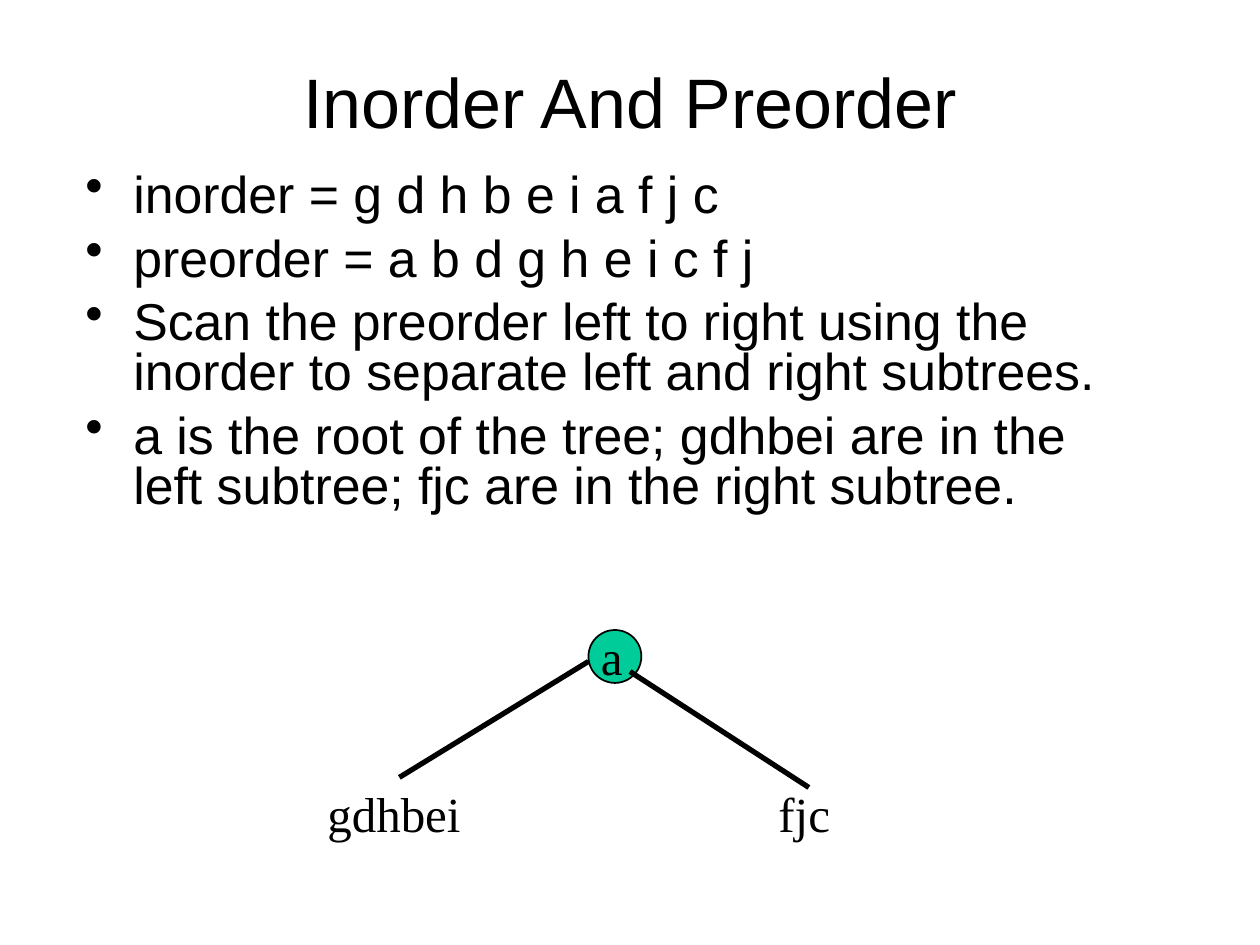
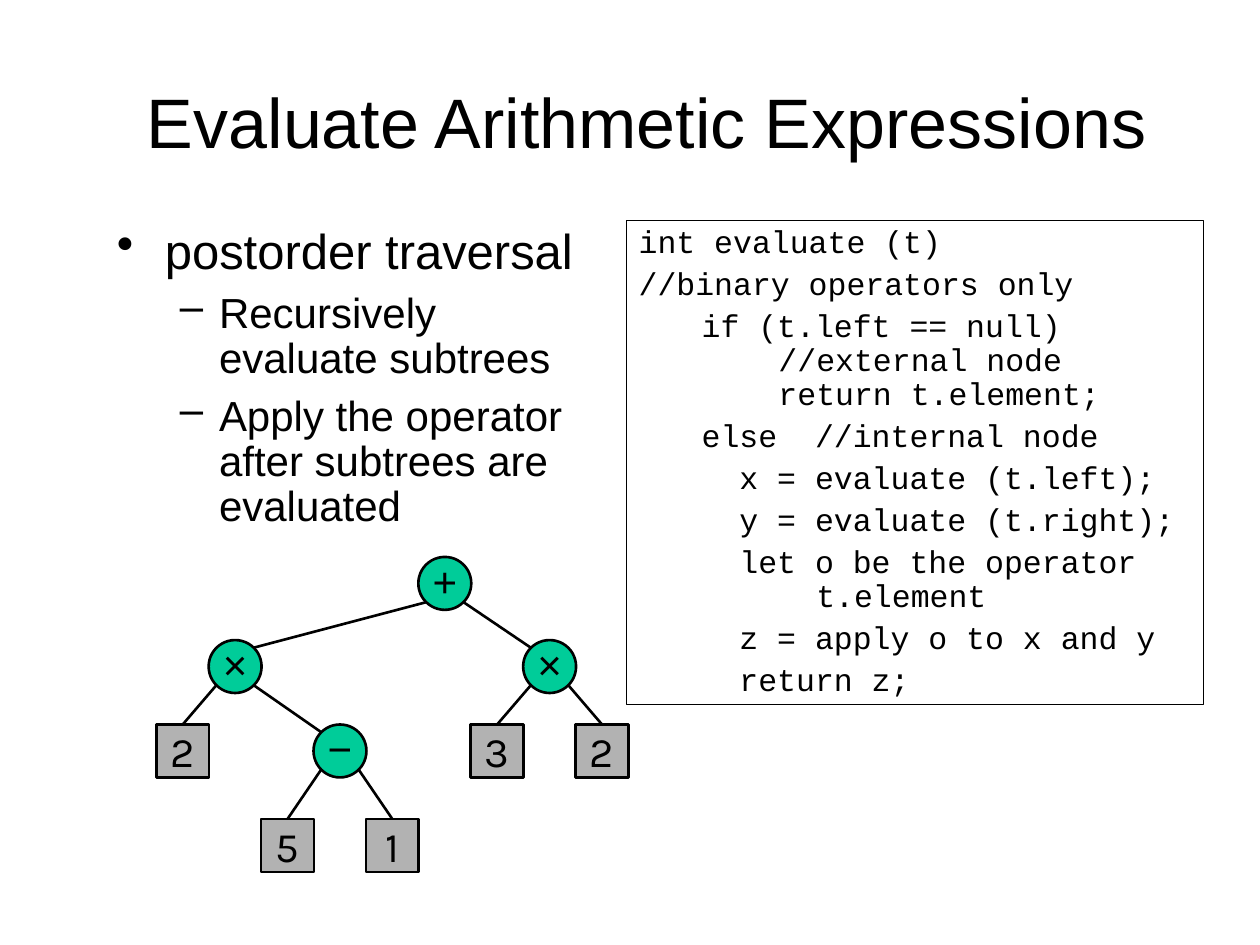
import pptx
import pptx.dml.color
import pptx.enum.shapes
import pptx.enum.text
import pptx.oxml
import pptx.oxml.ns
import pptx.util

Inches = pptx.util.Inches
Pt = pptx.util.Pt
ALIGN = pptx.enum.text.PP_ALIGN
ANCHOR = pptx.enum.text.MSO_ANCHOR
SHAPE = pptx.enum.shapes.MSO_SHAPE
COLORS = {"ink": "000000", "operator": "00CC99", "operand": "B2B2B2"}
MARGINS = (0.1, 0.05, 0.1, 0.05)
NODE = 0.42

INORDER_POINTS = [
    "inorder = g d h b e i a f j c",
    "preorder = a b d g h e i c f j",
    "Scan the preorder left to right using the inorder to separate left and right subtrees.",
    "a is the root of the tree; gdhbei are in the left subtree; fjc are in the right subtree.",
]
EVALUATE_CODE = [
    "int evaluate (t)",
    "//binary operators only",
    "if (t.left == null)\n  //external node\n  return t.element;",
    "else  //internal node",
    "  x = evaluate (t.left);",
    "  y = evaluate (t.right);",
    "  let o be the operator\n    t.element",
    "  z = apply o to x and y",
    "  return z;",
]
EXPRESSION_TREE = {
    "sum": ("+", 5, 4.42, None),
    "right product": ("×", 7, 5.08, "sum"),
    "left product": ("×", 1, 5.08, "sum"),
    "difference": ("−", 3, 5.75, "left product"),
    "left two": ("2", 0, 5.75, "left product"),
    "five": ("5", 2, 6.5, "difference"),
    "one": ("1", 4, 6.5, "difference"),
    "three": ("3", 6, 5.75, "right product"),
    "right two": ("2", 8, 5.75, "right product"),
}


def rgb(name):
    return pptx.dml.color.RGBColor.from_string(COLORS[name])


def setup_frame(tf, margins=MARGINS, anchor=ANCHOR.TOP, wrap=True):
    tf.margin_left, tf.margin_top, tf.margin_right, tf.margin_bottom = map(Inches, margins)
    tf.vertical_anchor = anchor
    tf.word_wrap = wrap


def write(tf, text, size=28, font="Arial", align=ALIGN.LEFT, spacing=None,
          before=0, indent=None, bullet=None):
    first = not tf.text
    p = tf.paragraphs[0] if first else tf.add_paragraph()
    p.text = text
    p.alignment = align
    p.line_spacing = spacing
    p.space_before = Pt(0 if first else before)
    if indent:
        pPr = p._p.get_or_add_pPr()
        pPr.set("marL", str(Inches(indent[0])))
        pPr.set("indent", str(Inches(indent[1])))
        if bullet:
            bu = pptx.oxml.parse_xml(f'<a:buChar {pptx.oxml.ns.nsdecls("a")} char="{bullet}"/>')
            pPr.append(bu)
    for r in p.runs:
        r.font.size = Pt(size)
        r.font.name = font
        r.font.color.rgb = rgb("ink")


def add_text_box(s, left, top, width, height, **frame):
    sp = s.shapes.add_textbox(*map(Inches, (left, top, width, height)))
    setup_frame(sp.text_frame, **frame)
    return sp.text_frame


def add_title(s, text, left, top, width):
    tf = add_text_box(s, left, top, width, 1.25, anchor=ANCHOR.MIDDLE)
    write(tf, text, size=40, align=ALIGN.CENTER)


def add_bullet(tf, text, size, spacing, level=0):
    bullet, indent, before = [("•", (0.38, -0.38), 8), ("–", (0.81, -0.31), 7)][level]
    write(tf, text, size=size, spacing=spacing, before=before, indent=indent, bullet=bullet)


def add_label(s, text, left, top, width):
    write(add_text_box(s, left, top, width, 0.57), text, font="Times New Roman")


def add_shape(s, kind, left, top, width, height, fill=None, line=1.5):
    sp = s.shapes.add_shape(kind, *map(Inches, (left, top, width, height)))
    sp.shadow.inherit = False
    if fill:
        sp.fill.solid()
        sp.fill.fore_color.rgb = rgb(fill)
    else:
        sp.fill.background()
    sp.line.color.rgb = rgb("ink")
    sp.line.width = Pt(line)
    return sp


def add_edge(s, x1, y1, x2, y2, width=1.5):
    straight = pptx.enum.shapes.MSO_CONNECTOR.STRAIGHT
    c = s.shapes.add_connector(straight, *map(Inches, (x1, y1, x2, y2)))
    c.line.color.rgb = rgb("ink")
    c.line.width = Pt(width)
    c._element.spPr.append(pptx.oxml.parse_xml(f'<a:effectLst {pptx.oxml.ns.nsdecls("a")}/>'))


def add_code(s, lines):
    sp = add_shape(s, SHAPE.RECTANGLE, 4.97, 1.75, 4.58, 3.84, line=0.75)
    setup_frame(sp.text_frame)
    for i, text in enumerate(lines):
        write(sp.text_frame, text, size=18, font="Courier New", spacing=0.9, before=4.5,
              indent=(0.81, -0.31) if i > 1 else None)


def add_tree_node(s, symbol, left, top):
    if symbol.isdigit():
        kind, fill, font, margins = SHAPE.RECTANGLE, "operand", "Karla", MARGINS
    else:
        kind, fill, font, margins = SHAPE.OVAL, "operator", "Arial", (0, 0, 0, 0.05)
    sp = add_shape(s, kind, left, top, NODE, NODE, fill)
    setup_frame(sp.text_frame, margins, ANCHOR.MIDDLE, wrap=False)
    write(sp.text_frame, symbol, size=24, font=font, align=ALIGN.CENTER)


def add_expression_tree(s, tree, left=1.24, step=0.416, rim=0.15):
    centers = {name: (left + column * step + NODE / 2, top + NODE / 2)
               for name, (_, column, top, _) in tree.items()}
    for symbol, column, top, _ in tree.values():
        add_tree_node(s, symbol, left + column * step, top)
    for name, (symbol, _, top, parent) in tree.items():
        if parent:
            x, y = centers[name]
            px, py = centers[parent]
            side = rim if x > px else -rim
            end = (x, top) if symbol.isdigit() else (x - side, y - rim)
            add_edge(s, px + side, py + rim, *end)


def build_inorder_slide(s):
    add_title(s, "Inorder And Preorder", 0.75, 0.17, 8.5)
    tf = add_text_box(s, 0.58, 1.33, 8.5, 3.33)
    for text in INORDER_POINTS:
        add_bullet(tf, text, 29.6, 0.8)
    add_shape(s, SHAPE.OVAL, 4.67, 5, NODE, NODE, "operator", line=1)
    add_edge(s, 4.67, 5.25, 3.17, 6.17, width=3)
    add_edge(s, 5, 5.33, 6.42, 6.25, width=3)
    add_label(s, "a", 4.67, 4.92, 0.83)
    add_label(s, "gdhbei", 2.5, 6.17, 1.42)
    add_label(s, "fjc", 6.08, 6.17, 1.42)


def build_evaluate_slide(s):
    add_title(s, "Evaluate Arithmetic Expressions", 0.67, 0.33, 8.92)
    tf = add_text_box(s, 0.83, 1.75, 4.08, 2.58)
    add_bullet(tf, "postorder traversal", 28, 0.9)
    for text in ("Recursively evaluate subtrees",
                 "Apply the operator after subtrees are evaluated"):
        add_bullet(tf, text, 24, 0.9, level=1)
    add_code(s, EVALUATE_CODE)
    add_expression_tree(s, EXPRESSION_TREE)


def main():
    prs = pptx.Presentation()
    prs.slide_width, prs.slide_height = Inches(10), Inches(7.5)
    for build in (build_inorder_slide, build_evaluate_slide):
        build(prs.slides.add_slide(prs.slide_layouts[6]))
    prs.save("out.pptx")


if __name__ == "__main__":
    main()
